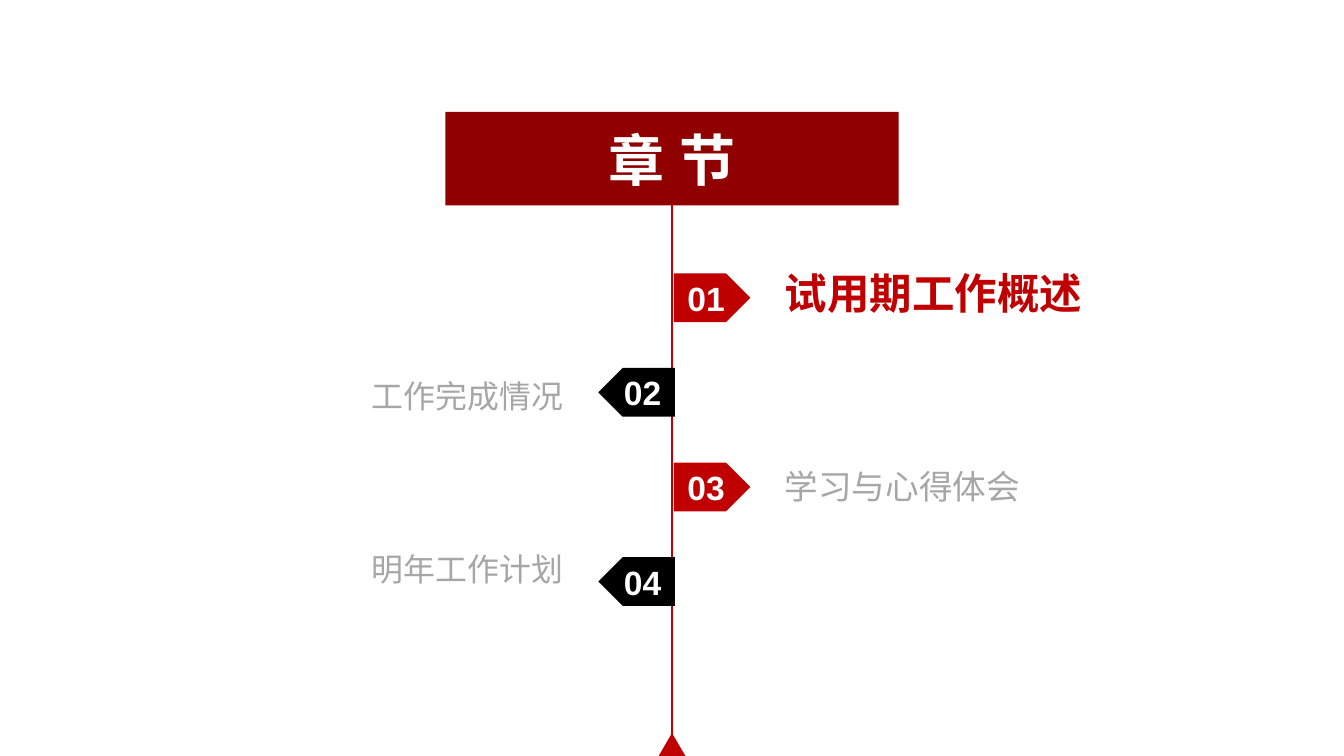
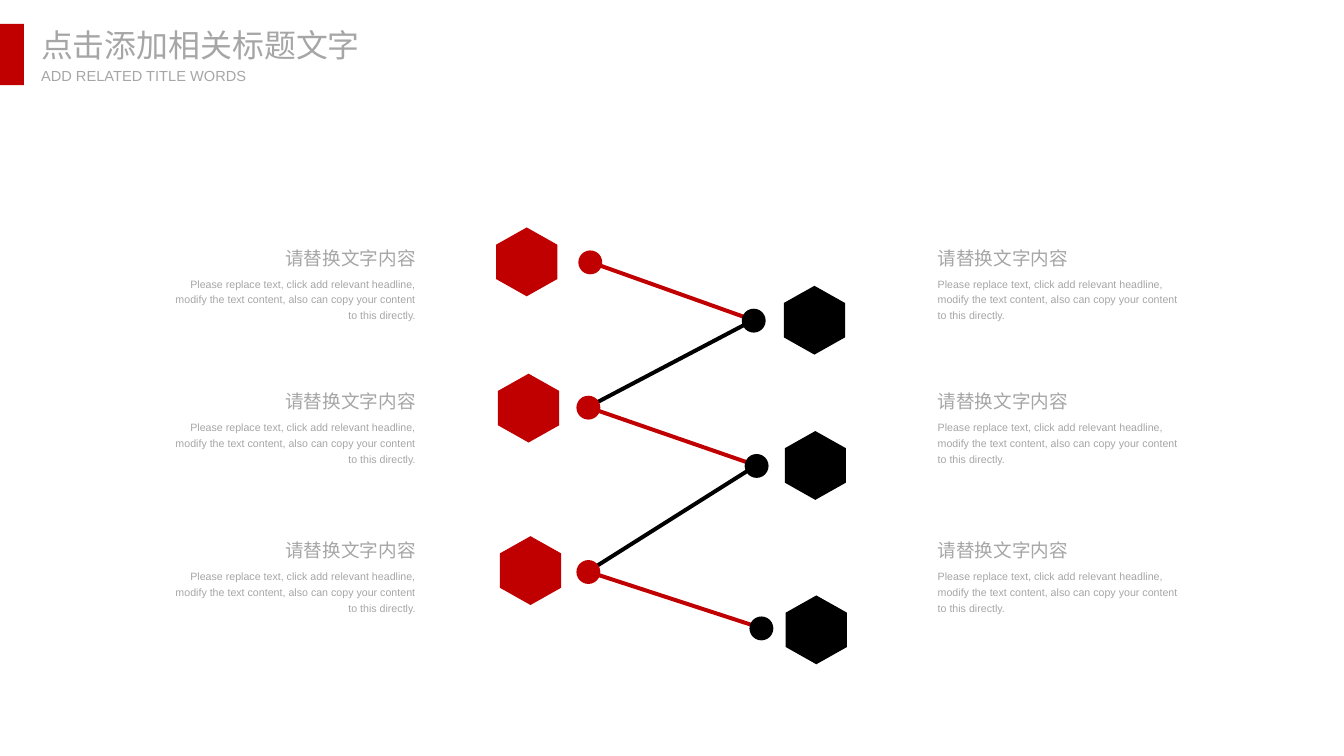
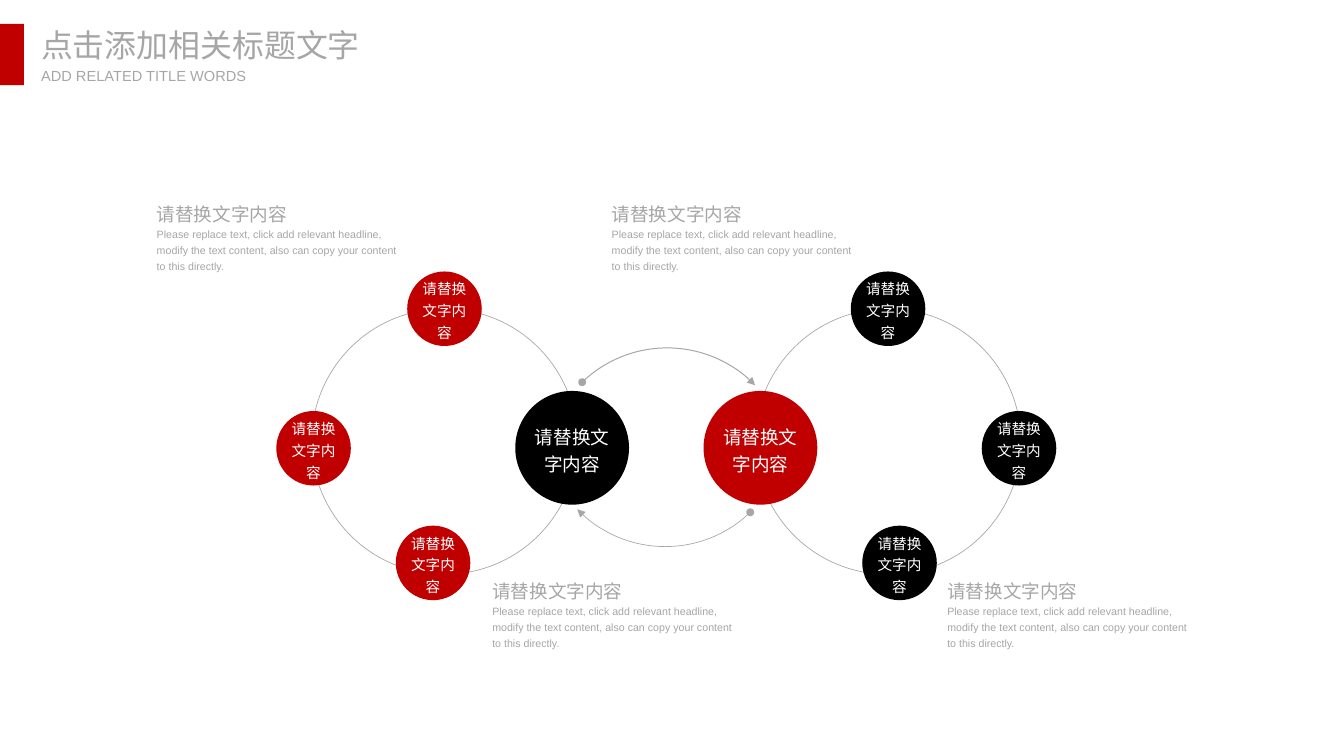
from dataclasses import dataclass

from lxml.etree import SubElement
from pptx import Presentation
from pptx.dml.color import RGBColor
from pptx.enum.shapes import MSO_CONNECTOR, MSO_SHAPE
from pptx.enum.text import MSO_ANCHOR, MSO_AUTO_SIZE, PP_ALIGN
from pptx.oxml.ns import qn
from pptx.util import Inches, Pt

# Shared look
HUES = {"red": "C00000", "deep": "900000", "black": "000000",
        "gray": "A6A6A6", "white": "FFFFFF"}
LATIN, HAN = "Arial", "Noto Sans CJK SC"
HEAD = "请替换文字内容"
BODY = ("Please replace text, click add relevant headline, modify the text "
        "content, also can copy your content to this directly.")
LEFT, MID, RIGHT = PP_ALIGN.LEFT, PP_ALIGN.CENTER, PP_ALIGN.RIGHT
LOOSE = 1.25


@dataclass
class Box:
    left: float
    top: float
    width: float
    height: float

    def emu(self) -> list:
        return [Inches(v) for v in (self.left, self.top, self.width, self.height)]

    def mirror(self, axis: float) -> "Box":
        return Box(2 * axis - self.left - self.width, self.top, self.width, self.height)


@dataclass
class Style:
    size: float
    hue: str = "gray"
    bold: bool = False
    align: int = LEFT
    space: float = 1.0
    face: str = LATIN
    anchor: int = MSO_ANCHOR.MIDDLE


@dataclass
class Step:
    mark: str
    label: str
    mid: float
    size: float
    active: bool = False


@dataclass
class Node:
    hexagon: tuple
    dot: tuple
    hue: str


def rgb(hue: str) -> RGBColor:
    return RGBColor.from_string(HUES[hue])


# Drawing helpers
def write(shape, text: str, style: Style) -> None:
    frame = shape.text_frame
    frame.word_wrap = True
    frame.auto_size = MSO_AUTO_SIZE.NONE
    frame.vertical_anchor = style.anchor
    frame.margin_left = frame.margin_right = 0
    frame.margin_top = frame.margin_bottom = 0
    frame.text = text
    para = frame.paragraphs[0]
    para.alignment = style.align
    para.line_spacing = style.space
    font = para.font
    font.name, font.size, font.bold = style.face, Pt(style.size), style.bold
    font.color.rgb = rgb(style.hue)
    SubElement(font._rPr, qn("a:ea")).set("typeface", style.face)


def label(slide, box: Box, text: str, style: Style) -> None:
    write(slide.shapes.add_textbox(*box.emu()), text, style)


def paint(shape, hue: str):
    shape.shadow.inherit = False
    shape.fill.solid()
    shape.fill.fore_color.rgb = rgb(hue)
    shape.line.fill.background()
    return shape


def solid(slide, kind: int, box: Box, hue: str):
    return paint(slide.shapes.add_shape(kind, *box.emu()), hue)


def outline(slide, kind: int, box: Box, width: float):
    shape = slide.shapes.add_shape(kind, *box.emu())
    shape.shadow.inherit = False
    shape.fill.background()
    shape.line.color.rgb = rgb("gray")
    shape.line.width = Pt(width)
    return shape


def line(slide, start: tuple, end: tuple, hue: str, width: float) -> None:
    ends = [Inches(v) for v in (*start, *end)]
    rule = slide.shapes.add_connector(MSO_CONNECTOR.STRAIGHT, *ends)
    rule.line.color.rgb = rgb(hue)
    rule.line.width = Pt(width)
    SubElement(rule._element.spPr, qn("a:effectLst"))


def title(slide, box: Box, text: str, style: Style):
    shape = slide.shapes.title
    shape.left, shape.top, shape.width, shape.height = box.emu()
    write(shape, text, style)
    return shape


def header(slide) -> None:
    title(slide, Box(0.43, 0.27, 3.37, 0.4), "点击添加相关标题文字",
          Style(24, face=HAN))
    solid(slide, MSO_SHAPE.RECTANGLE, Box(0, 0.25, 0.25, 0.64), "red")
    label(slide, Box(0.43, 0.7, 2.3, 0.19), "ADD RELATED TITLE WORDS",
          Style(11, anchor=MSO_ANCHOR.TOP))


def note(slide, edge: float, top: float, gap: float, align: int = LEFT) -> None:
    parts = ((HEAD, 14, 1.4, 0.28, top), (BODY, 8, 2.6, 0.48, top + gap))
    for text, size, width, height, y in parts:
        left = edge - width if align == RIGHT else edge
        label(slide, Box(left, y, width, height), text,
              Style(size, align=align, space=LOOSE, anchor=MSO_ANCHOR.TOP))


# Slide 1: chapter list on a stem
def chapter(slide) -> None:
    stem = 7.03
    banner = title(slide, Box(4.66, 1.17, 4.74, 0.98), "章 节",
                   Style(42.2, "white", True, MID))
    paint(banner, "deep")
    line(slide, (stem, 2.15), (stem, 7.91), "red", 2)
    solid(slide, MSO_SHAPE.ISOSCELES_TRIANGLE, Box(6.89, 7.67, 0.28, 0.24), "red")
    steps = [Step("01", "试用期工作概述", 3.06, 32, True),
             Step("02", "工作完成情况", 4.14, 24),
             Step("03", "学习与心得体会", 5.09, 25.3),
             Step("04", "明年工作计划", 5.95, 24)]
    for i, step in enumerate(steps):
        back = i % 2 == 1
        tag = solid(slide, MSO_SHAPE.PENTAGON,
                    Box(6.26 if back else 7.05, 2.86 + i * 0.99, 0.8, 0.51),
                    "black" if back else "red")
        if back:
            tag._element.spPr.xfrm.set("flipH", "1")
        write(tag, step.mark, Style(25.3, "white", True, MID))
        width = 4.02 if step.active else 2.7
        label(slide, Box(3.19 if back else 8.21, step.mid - 0.3, width, 0.6),
              step.label, Style(step.size, "red" if step.active else "gray",
                                step.active, RIGHT if back else LEFT))


# Slide 2: zigzag of hexagons
def hexagon(slide, x: float, y: float, hue: str) -> None:
    wide, half, tall = 0.32, 0.18, 0.36
    ring = [(0, -tall), (wide, -half), (wide, half),
            (0, tall), (-wide, half), (-wide, -half)]
    points = [(Inches(x + dx), Inches(y + dy)) for dx, dy in ring]
    form = slide.shapes.build_freeform(*points[0])
    form.add_line_segments(points[1:], close=True)
    paint(form.convert_to_shape(), hue)


def zigzag(slide) -> None:
    header(slide)
    nodes = [Node((5.51, 2.74), (6.17, 2.74), "red"),
             Node((8.52, 3.35), (7.88, 3.35), "black"),
             Node((5.53, 4.27), (6.15, 4.26), "red"),
             Node((8.53, 4.87), (7.91, 4.87), "black"),
             Node((5.55, 5.97), (6.15, 5.98), "red"),
             Node((8.54, 6.59), (7.96, 6.57), "black")]
    for a, b in zip(nodes, nodes[1:]):
        line(slide, a.dot, b.dot, a.hue, 3)
    for node in nodes:
        hexagon(slide, *node.hexagon, node.hue)
        x, y = node.dot
        solid(slide, MSO_SHAPE.OVAL, Box(x - 0.12, y - 0.12, 0.25, 0.25), node.hue)
    for top in (2.52, 4.02, 5.58):
        note(slide, 4.35, top, 0.35, RIGHT)
        note(slide, 9.81, top, 0.35)


# Slide 3: two mirrored rings
def arc(slide, box: Box, start: float, end: float, width: float) -> None:
    curve = outline(slide, MSO_SHAPE.ARC, box, width)
    for i, angle in enumerate((start, end)):
        curve.adjustments[i] = angle * 0.6  # 60000 units a degree
    stroke = curve.line._get_or_add_ln()
    for end_tag, kind in (("a:headEnd", "oval"), ("a:tailEnd", "triangle")):
        SubElement(stroke, qn(end_tag)).set("type", kind)


def rings(slide) -> None:
    header(slide)
    axis = 6.97
    loop, hub = Box(3.26, 3.23, 2.78, 2.78), Box(5.39, 4.09, 1.19, 1.19)
    moons = [Box(x, y, 0.78, 0.78) for x, y in ((2.89, 4.3), (4.26, 2.84), (4.14, 5.5))]
    for flip, core, rim in ((False, "black", "red"), (True, "red", "black")):
        def place(box: Box) -> Box:
            return box.mirror(axis) if flip else box

        outline(slide, MSO_SHAPE.OVAL, place(loop), 0.5)
        discs = [(hub, core, 14)] + [(moon, rim, 11) for moon in moons]
        for box, hue, size in discs:
            disc = solid(slide, MSO_SHAPE.OVAL, place(box), hue)
            write(disc, HEAD, Style(size, "white", align=MID, space=LOOSE))
    arc(slide, Box(5.7, 3.64, 2.56, 2.56), 226, 316, 0.75)
    arc(slide, Box(5.68, 3.16, 2.56, 2.56), 46, 136, 0.5)
    for left, top in ((1.64, 2.06), (6.4, 2.06), (5.15, 6.01), (9.91, 6.01)):
        note(slide, left, top, 0.29)


def main() -> None:
    deck = Presentation()
    deck.slide_width, deck.slide_height = Inches(14.06), Inches(7.91)
    for draw in (chapter, zigzag, rings):
        draw(deck.slides.add_slide(deck.slide_layouts[5]))
    deck.save("out.pptx")


if __name__ == "__main__":
    main()
